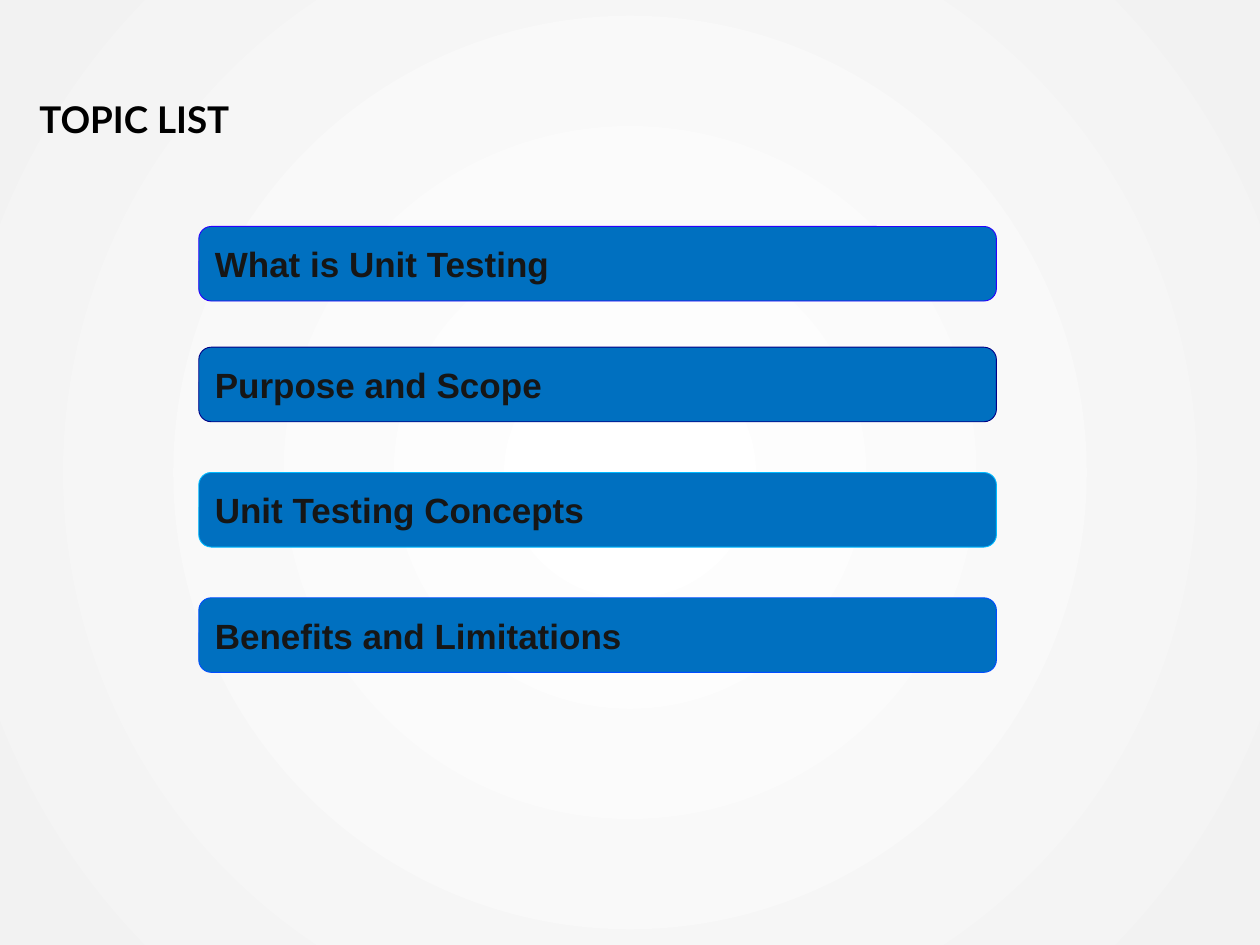
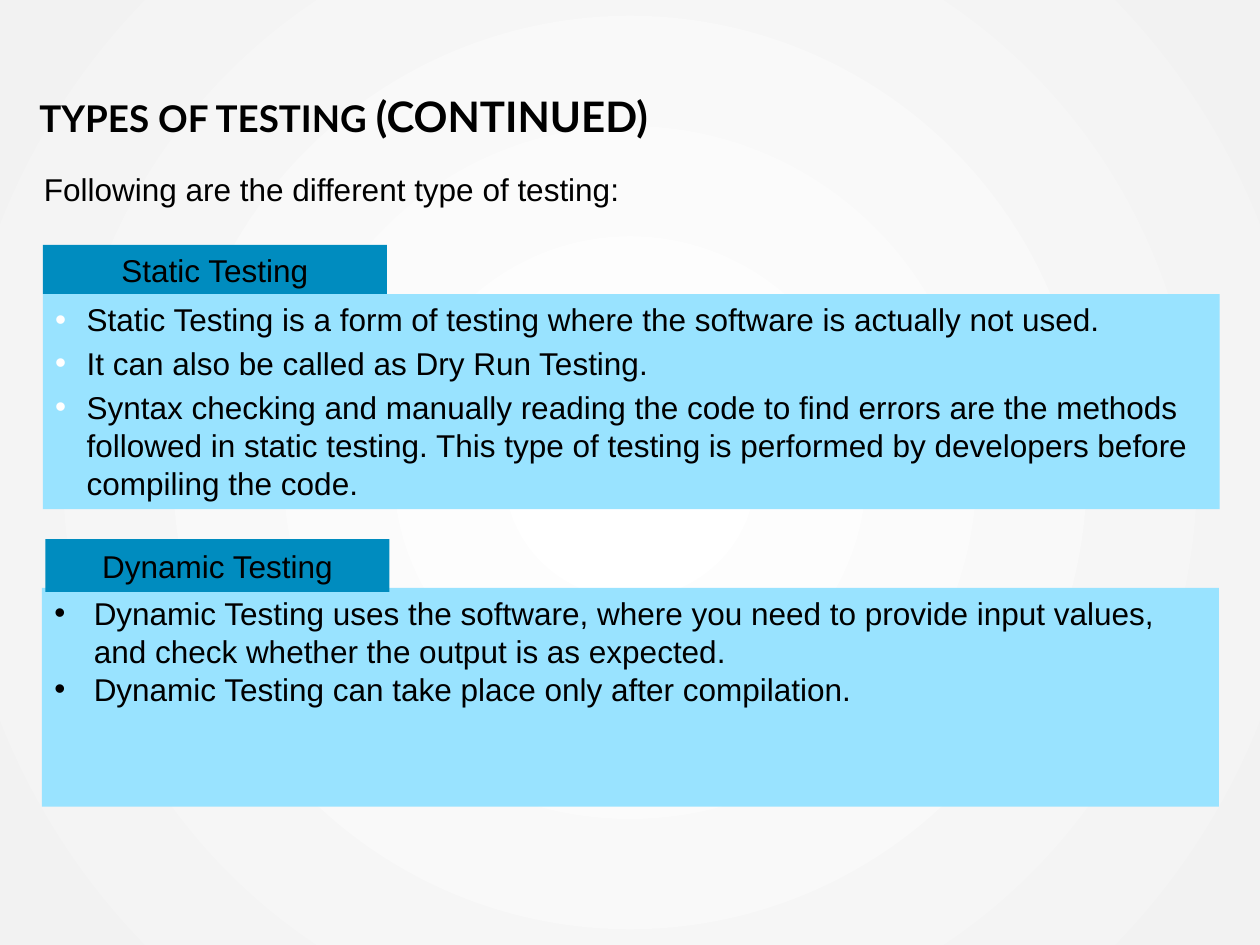
from dataclasses import dataclass

from lxml import etree
from pptx import Presentation
from pptx.dml.color import RGBColor
from pptx.enum.shapes import MSO_SHAPE
from pptx.enum.text import MSO_ANCHOR, PP_ALIGN
from pptx.oxml.ns import qn
from pptx.util import Pt

RECT, ROUND = MSO_SHAPE.RECTANGLE, MSO_SHAPE.ROUNDED_RECTANGLE
TOP, MIDDLE, BOTTOM = MSO_ANCHOR.TOP, MSO_ANCHOR.MIDDLE, MSO_ANCHOR.BOTTOM
LEFT, CENTER = PP_ALIGN.LEFT, PP_ALIGN.CENTER


@dataclass(frozen=True)
class Theme:
    black: str = "000000"
    white: str = "FFFFFF"
    edge: str = "F2F2F2"
    ink: str = "161616"
    pill: str = "0070C0"
    tab: str = "008CBF"
    panel: str = "99E3FF"
    head: str = "Lato"
    body: str = "Arial"
    title: float = 21
    large: float = 24
    topic: float = 20
    text: float = 18


T = Theme()
TITLE = (22.5, 0, 675, 80)


def style(item, **values):
    for name, value in values.items():
        setattr(item, name, value)


def place(box):
    return [Pt(v) for v in box]


def write(para, text, size, font=T.body, color=T.black, bold=False):
    run = para.add_run()
    run.text = text
    style(run.font, size=Pt(size), name=font, bold=bold)
    run.font.color.rgb = RGBColor.from_string(color)


def block(slide, kind, box, fill, line=None, anchor=MIDDLE):
    """Add a filled shape and return its text frame."""
    shape = slide.shapes.add_shape(kind, *place(box))
    shape.shadow.inherit = False
    shape.fill.solid()
    shape.fill.fore_color.rgb = RGBColor.from_string(fill)
    if line:
        shape.line.color.rgb = RGBColor.from_string(line)
        shape.line.width = Pt(0.5)
    else:
        shape.line.fill.background()
    style(shape.text_frame, word_wrap=True, vertical_anchor=anchor)
    return shape.text_frame


def bullet(para, indent, color):
    props = para._p.get_or_add_pPr()
    props.set("marL", str(Pt(indent)))
    props.set("indent", str(-Pt(indent)))
    tint = etree.SubElement(props, qn("a:buClr"))
    etree.SubElement(tint, qn("a:srgbClr"), val=color)
    etree.SubElement(props, qn("a:buFont"), typeface=T.body)
    etree.SubElement(props, qn("a:buChar"), char="•")


def backdrop(master):
    """Give every slide the round gradient."""
    fill = master.background.fill
    fill.gradient()
    for stop, (spot, color) in zip(fill.gradient_stops,
                                   ((0.02, T.white), (1, T.edge))):
        stop.position = spot
        stop.color.rgb = RGBColor.from_string(color)
    grad = master.element.find(".//" + qn("a:gradFill"))
    grad.remove(grad.find(qn("a:lin")))
    path = etree.SubElement(grad, qn("a:path"), path="circle")
    sides = dict.fromkeys("ltrb", "50000")
    etree.SubElement(path, qn("a:fillToRect"), **sides)


def heading(slide, box, parts):
    frame = slide.shapes.add_textbox(*place(box)).text_frame
    style(frame, word_wrap=True, vertical_anchor=BOTTOM, margin_left=0,
          margin_right=0, margin_top=Pt(3.6), margin_bottom=0)
    para = frame.paragraphs[0]
    para.line_spacing = 0.7
    for text, size in parts:
        write(para, text, size, T.head, bold=True)


def topics(slide, box, items):
    """Stack one pill per (offset, outline, text)."""
    x, y, wide, high = box
    for drop, line, text in items:
        frame = block(slide, ROUND, (x, y + drop, wide, high), T.pill, line)
        para = frame.paragraphs[0]
        para.alignment = LEFT
        write(para, text, T.topic, color=T.ink, bold=True)


def intro(slide, box, text):
    frame = slide.shapes.add_textbox(*place(box)).text_frame
    frame.word_wrap = True
    write(frame.paragraphs[0], text, T.text)


def panel(slide, box, label, lines, shift=0, tall=28, indent=18,
          dot=T.black, gap=0):
    """Draw a bulleted panel with a label tab on its top edge."""
    x, y, wide, high = box
    frame = block(slide, RECT, box, T.panel, anchor=TOP)
    for i, text in enumerate(lines):
        para = frame.add_paragraph() if i else frame.paragraphs[0]
        bullet(para, indent, dot)
        para.alignment = LEFT
        if i and gap:
            para.space_before = Pt(gap)
        write(para, text, T.text)
    # Label tab
    spot = (x + shift, y - 28, 196.6, tall)
    para = block(slide, RECT, spot, T.tab).paragraphs[0]
    para.alignment = CENTER
    write(para, label, T.text)


def list_slide(slide):
    heading(slide, TITLE, [("TOPIC LIST", T.title)])
    topics(slide, (113.6, 129.4, 455.8, 42.6), [
        (0, "2800FF", "What is Unit Testing"),
        (69, "000088", "Purpose and Scope"),
        (140.6, "00BAFF", "Unit Testing Concepts"),
        (212.2, "004DFF", "Benefits and Limitations"),
    ])


def types_slide(slide):
    heading(slide, TITLE, [("TYPES OF TESTING ", T.title),
                           ("(CONTINUED)", T.large)])
    intro(slide, (18, 93.6, 678, 29),
          "Following are the different type of testing:")
    panel(slide, (24.5, 168, 672.5, 123), "Static Testing", [
        "Static Testing is a form of testing where the software is "
        "actually not used.",
        "It can also be called as Dry Run Testing.",
        "Syntax checking and manually reading the code to find errors are "
        "the methods followed in static testing. This type of testing is "
        "performed by developers before compiling the code.",
    ], dot=T.white, gap=3.5)
    panel(slide, (24, 336, 672.5, 125), "Dynamic Testing", [
        "Dynamic Testing uses the software, where you need to provide input "
        "values, and check whether the output is as expected.",
        "Dynamic Testing can take place only after compilation.",
    ], shift=2, tall=30.2, indent=22.5)


def main():
    deck = Presentation()
    style(deck, slide_width=Pt(720), slide_height=Pt(540))
    backdrop(deck.slide_master)
    for build in (list_slide, types_slide):
        build(deck.slides.add_slide(deck.slide_layouts[6]))
    deck.save("out.pptx")


if __name__ == "__main__":
    main()
